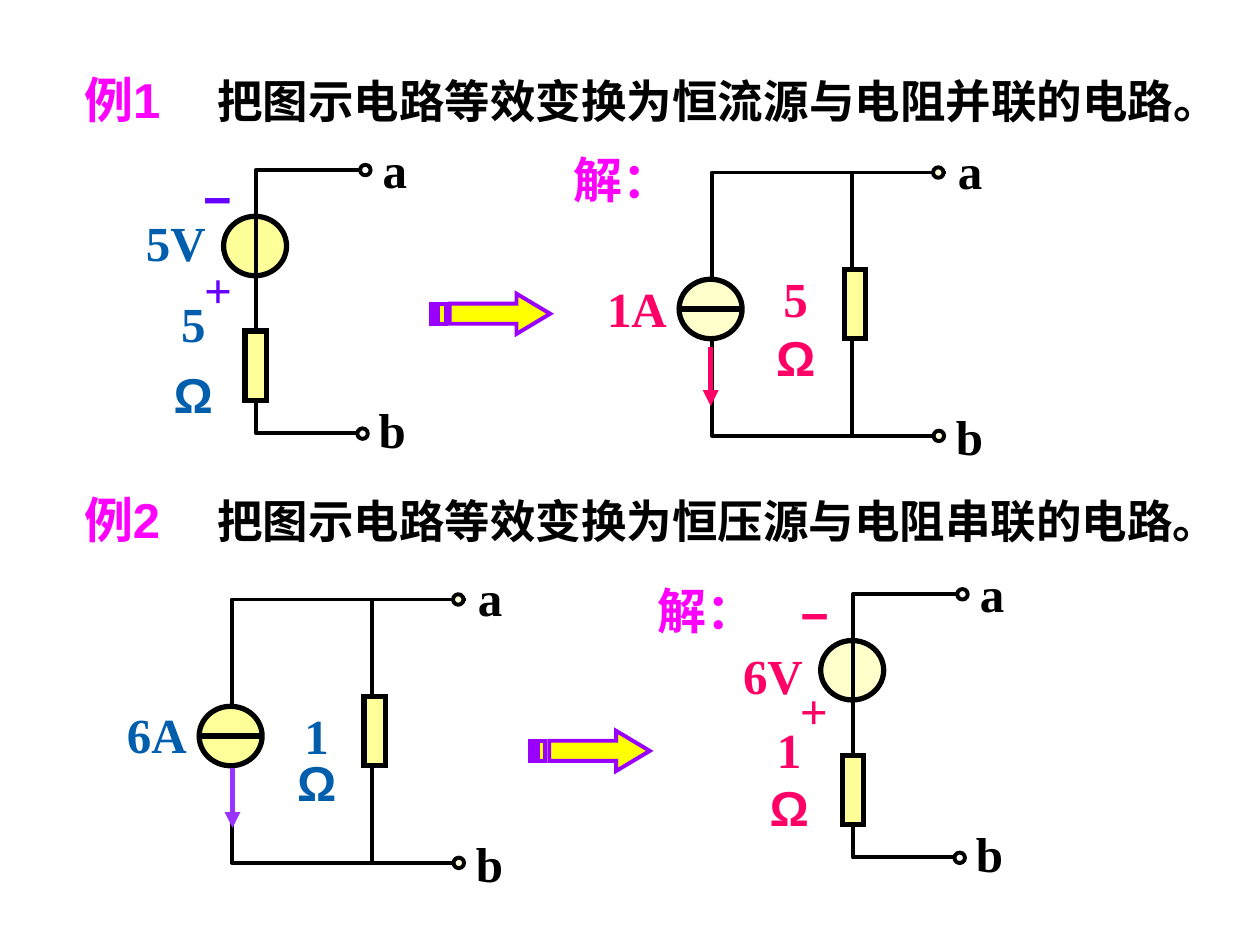
from lxml import etree
from pptx import Presentation
from pptx.dml.color import RGBColor
from pptx.enum.shapes import MSO_CONNECTOR, MSO_SHAPE
from pptx.enum.text import MSO_ANCHOR, MSO_AUTO_SIZE, PP_ALIGN
from pptx.oxml.ns import qn
from pptx.util import Pt

OVAL, RECTANGLE = MSO_SHAPE.OVAL, MSO_SHAPE.RECTANGLE
STRAIGHT = MSO_CONNECTOR.STRAIGHT
MIDDLE, NO_FIT = MSO_ANCHOR.MIDDLE, MSO_AUTO_SIZE.NONE
LEFT, CENTER = PP_ALIGN.LEFT, PP_ALIGN.CENTER

THEME = {
    "sans": "Arial", "serif": "Times New Roman",
    "label_size": 28, "question_size": 26,
    "ink": "000000", "heading": "FF00FF", "given": "005EAC", "answer": "FF0066",
    "polarity": "6600FF", "current": "9933FF",
    "resistor": "FFFF99", "given_source": "FFFF99", "answer_source": "FFFFCC",
    "open_end": "FFFFFF", "pale_end": "FFFFDD",
    "arrow_fill": "FFFF00", "arrow_line": "9900FF",
    "wire": 2.25, "branch": 2, "outline": 3,
}
SANS, SERIF = THEME["sans"], THEME["serif"]

QUESTIONS = [  # number, question, top
    ("例1", "把图示电路等效变换为恒流源与电阻并联的电路。", 36),
    ("例2", "把图示电路等效变换为恒压源与电阻串联的电路。", 275.8),
]
VOLTAGE_CIRCUITS = [  # wire corner, source fill
    (146.2, 97.2, "given_source"),
    (487.4, 339.6, "answer_source"),
]
CURRENT_CIRCUITS = [  # wire corner, source fill, arrow colour, arrow offset
    (406.8, 98.6, "answer_source", "answer", (-0.7, 99.4)),
    (132.5, 342.6, "given_source", "current", (0.4, 96.5)),
]
LABELS = [  # text, centre x, centre y, font, colour
    ("解：", 341.6, 102, SANS, "heading"),
    ("解：", 389.9, 348.8, SANS, "heading"),
    ("5V", 100.5, 138, SERIF, "given"),
    ("−", 124.2, 113.4, SANS, "polarity"),
    ("+", 124.6, 165.2, SERIF, "polarity"),
    ("1A", 364, 176, SERIF, "answer"),
    ("6V", 441.7, 385.6, SERIF, "answer"),
    ("−", 465.5, 351, SANS, "answer"),
    ("+", 465.1, 405.7, SERIF, "answer"),
    ("6A", 89.6, 419.4, SERIF, "given"),
]
RESISTANCES = [  # ohms, centre x, centre y, colour, line spacing
    ("5", 110.5, 201.6, "given", 1.2),
    ("5", 454.7, 187, "answer", 1.0),
    ("1", 451, 444.6, "answer", 1.0),
    ("1", 181, 436.5, "given", 0.8),
]
STEP_ARROWS = [(246.2, 167.8), (303.1, 417.6)]
STEP_CONTOURS = [
    [(49, 0), (49, 5.7), (10.8, 5.7), (10.8, 17.2), (49, 17.2), (49, 23), (68.2, 11.5)],
    [(4.3, 5.7), (4.3, 17.2), (8.6, 17.2), (8.6, 5.7)],
    [(0, 5.7), (0, 17.2), (2.2, 17.2), (2.2, 5.7)],
]
WIRE_HEIGHT = 150.4
SOURCE_SIZE = (36, 34)
RESISTOR_SIZE = (12.2, 39.6)

prs = Presentation()
prs.slide_width, prs.slide_height = Pt(720), Pt(540)
slide = prs.slides.add_slide(prs.slide_layouts[5])
shapes = slide.shapes


def color(role):
    return RGBColor.from_string(THEME[role])


def style_font(font, size=None, role=None, name=None):
    font.bold = True
    if size:
        font.size = Pt(THEME[size])
    if role:
        font.color.rgb = color(role)
    if name:
        font.name = name


def style_line(shape, role, width, ending=None, **attributes):
    """Colour the line; ending is a join or arrowhead tag such as a:miter."""
    shape.line.color.rgb = color(role)
    shape.line.width = Pt(width)
    if ending:
        etree.SubElement(shape.line._get_or_add_ln(), qn(ending), **attributes)


def add_preset(kind, left, top, size, fill, width, ending=None):
    shape = shapes.add_shape(kind, Pt(left), Pt(top), Pt(size[0]), Pt(size[1]))
    shape.shadow.inherit = False
    shape.fill.solid()
    shape.fill.fore_color.rgb = color(fill)
    style_line(shape, "ink", width, ending)


def add_line(x1, y1, x2, y2, role, width, ending=None, **attributes):
    line = shapes.add_connector(STRAIGHT, Pt(x1), Pt(y1), Pt(x2), Pt(y2))
    style_line(line, role, width, ending, **attributes)
    etree.SubElement(line._element.spPr, qn("a:effectLst"))


def add_outline(x, y, contours, close):
    def at(point):
        return Pt(x + point[0]), Pt(y + point[1])

    builder = shapes.build_freeform(*at(contours[0][0]))
    for index, contour in enumerate(contours):
        if index:
            builder.move_to(*at(contour[0]))
        builder.add_line_segments([at(point) for point in contour[1:]], close=close)
    shape = builder.convert_to_shape()
    shape.shadow.inherit = False
    return shape


def add_label(center_x, center_y, width=50, height=41):
    """Add an empty centred text box and return its paragraph."""
    box = shapes.add_textbox(Pt(center_x - width / 2), Pt(center_y - height / 2),
                             Pt(width), Pt(height))
    frame = box.text_frame
    frame.word_wrap, frame.vertical_anchor = False, MIDDLE
    paragraph = frame.paragraphs[0]
    paragraph.alignment = CENTER
    return paragraph


def add_text(text, x, y, font, role):
    paragraph = add_label(x, y)
    paragraph.text = text
    style_font(paragraph.font, "label_size", role, font)


def add_question(box, number, question, top):
    box.left, box.top, box.width, box.height = Pt(41), Pt(top), Pt(668), Pt(41)
    frame = box.text_frame
    frame.word_wrap, frame.auto_size, frame.vertical_anchor = True, NO_FIT, MIDDLE
    paragraph = frame.paragraphs[0]
    paragraph.alignment = LEFT
    tabs = etree.SubElement(paragraph._p.get_or_add_pPr(), qn("a:tabLst"))
    etree.SubElement(tabs, qn("a:tab"), pos=str(Pt(76)), algn="l")
    for text, size, role, font in ((number + "\t", "label_size", "heading", SANS),
                                   (question, "question_size", "ink", SERIF)):
        run = paragraph.add_run()
        run.text = text
        style_font(run.font, size, role, font)


def add_wire(x, y, top_length, bottom_length):
    wire = add_outline(x, y, [[(top_length, 0), (0, 0), (0, WIRE_HEIGHT),
                               (bottom_length, WIRE_HEIGHT)]], close=False)
    wire.fill.background()
    style_line(wire, "ink", THEME["wire"])


def add_source(x, y, fill):
    add_preset(OVAL, x, y, SOURCE_SIZE, fill, THEME["outline"])


def add_resistor(center_x, center_y):
    width, height = RESISTOR_SIZE
    add_preset(RECTANGLE, center_x - width / 2, center_y - height / 2,
               RESISTOR_SIZE, "resistor", THEME["outline"], "a:miter")


def add_terminals(x, y, fill, ends, names):
    for end_x, end_y in ends:
        add_preset(OVAL, x + end_x, y + end_y, (6, 6), fill, THEME["wire"])
    for text, (name_x, name_y) in zip("ab", names):
        add_text(text, x + name_x, y + name_y, SERIF, "ink")


def add_voltage_circuit(x, y, fill):
    add_source(x - 18.4, y + 26.4, fill)
    add_wire(x, y, 59.6, 57)
    add_resistor(x, y + 111.8)
    add_terminals(x, y, "open_end", [(59.6, -3), (58, 147.6)],
                  [(79.5, -0.6), (78, 148)])


def add_current_circuit(x, y, fill, arrow_role, arrow_offset):
    add_wire(x, y, 134, 128)
    add_line(x + 80, y - 1, x + 80, y + WIRE_HEIGHT + 1, "ink", THEME["branch"])
    add_resistor(x + 81.7, y + 75)
    add_source(x - 18.7, y + 61, fill)
    add_line(x - 18.7, y + 78, x + 17.3, y + 78, "ink", THEME["outline"])
    arrow_x, arrow_y = x + arrow_offset[0], y + arrow_offset[1]
    add_line(arrow_x, arrow_y, arrow_x, arrow_y + 34, arrow_role, THEME["outline"],
             "a:tailEnd", type="triangle")
    add_terminals(x, y, "pale_end", [(126.4, -3), (126.7, 147.5)],
                  [(147.5, -1.5), (147.2, 150.7)])


add_question(shapes.title, *QUESTIONS[0])
add_question(shapes.add_textbox(0, 0, 0, 0), *QUESTIONS[1])
for circuit in VOLTAGE_CIRCUITS:
    add_voltage_circuit(*circuit)
for circuit in CURRENT_CIRCUITS:
    add_current_circuit(*circuit)
for label in LABELS:
    add_text(*label)
for ohms, center_x, center_y, role, spacing in RESISTANCES:
    paragraph = add_label(center_x, center_y)
    paragraph.line_spacing = spacing
    style_font(paragraph.font, "label_size", role)
    for text, font in ((ohms, SERIF), ("Ω", SANS)):
        if paragraph.runs:
            paragraph.add_line_break()
        run = paragraph.add_run()
        run.text, run.font.name = text, font
for x, y in STEP_ARROWS:
    arrow = add_outline(x, y, STEP_CONTOURS, close=True)
    arrow.fill.solid()
    arrow.fill.fore_color.rgb = color("arrow_fill")
    style_line(arrow, "arrow_line", THEME["wire"], "a:miter", lim="800000")

prs.save("out.pptx")
